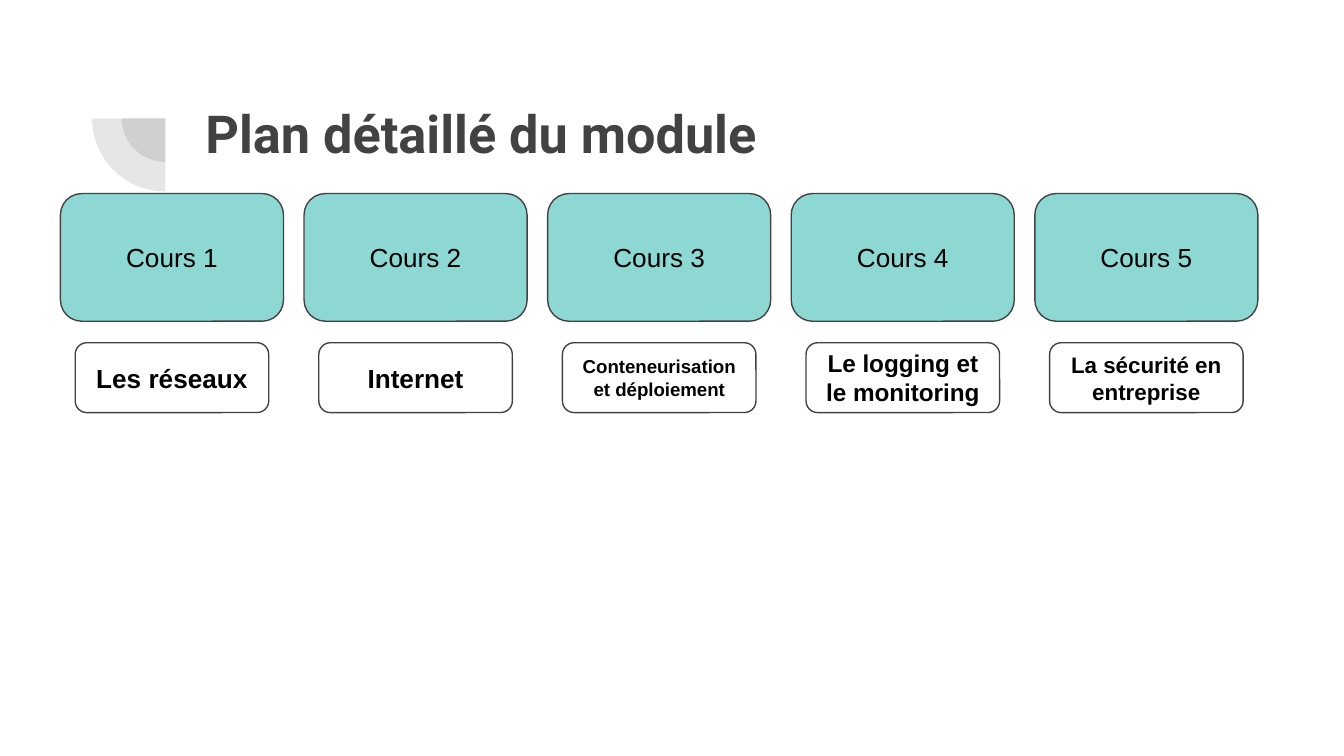
"""Build the slide that lays out the five courses of the module."""
import pptx
import pptx.dml.color
import pptx.enum.shapes
import pptx.enum.text
import pptx.util
from lxml import etree
from pptx.oxml.ns import qn

TITLE = "Plan détaillé du module"
COURSES = [
    ("Cours 1", "Les réseaux", 14),
    ("Cours 2", "Internet", 14),
    ("Cours 3", "Conteneurisation\net déploiement", 10),
    ("Cours 4", "Le logging et le monitoring", 13),
    ("Cours 5", "La sécurité en\nentreprise", 12),
]
COLORS = {"dark": "424242", "teal": "8DD8D3", "white": "FFFFFF", "black": "000000"}

SLIDE_W = 10
SLIDE_H = SLIDE_W * 9 / 16
FIRST_LEFT, LAST_LEFT = 0.45, 7.7
COLUMN_STEP = (LAST_LEFT - FIRST_LEFT) / (len(COURSES) - 1)
COURSE_TOP, COURSE_W, COURSE_H = 1.44, 1.66, 0.95
TOPIC_TOP, TOPIC_W, TOPIC_H = 2.55, 1.44, 0.52
ARC_X, ARC_Y, ARC_DIAMETERS = 1.23, 0.88, (0.65, 1.09)
MARGIN = 0.1

SHAPES = pptx.enum.shapes.MSO_SHAPE
ALIGN = pptx.enum.text.PP_ALIGN
ANCHOR = pptx.enum.text.MSO_ANCHOR


def rgb(name):
    return pptx.dml.color.RGBColor.from_string(COLORS[name])


def inches(*lengths):
    return [pptx.util.Inches(length) for length in lengths]


def write(shape, text, size, font, color, bold, align, anchor):
    frame = shape.text_frame
    frame.text = text
    frame.word_wrap = True
    frame.vertical_anchor = anchor
    frame.margin_left, frame.margin_top, frame.margin_right, frame.margin_bottom = inches(*[MARGIN] * 4)
    for paragraph in frame.paragraphs:
        paragraph.alignment = align
        for run in paragraph.runs:
            run.font.size = pptx.util.Pt(size)
            run.font.name = font
            run.font.bold = bold
            run.font.color.rgb = rgb(color)


def add_filled(slide, preset, box, fill):
    shape = slide.shapes.add_shape(preset, *inches(*box))
    shape.shadow.inherit = False
    shape.fill.solid()
    shape.fill.fore_color.rgb = rgb(fill)
    return shape


def add_arc(slide, diameter):
    box = (ARC_X - diameter / 2, ARC_Y - diameter / 2, diameter, diameter)
    arc = add_filled(slide, SHAPES.PIE, box, "dark")
    arc.adjustments[0], arc.adjustments[1] = 108, 162
    arc.rotation = 270
    arc.line.fill.background()
    tint = arc.element.spPr.find(qn("a:solidFill"))[0]
    etree.SubElement(tint, qn("a:alpha"), val="13000")


def add_card(slide, box, fill, text, size, bold):
    card = add_filled(slide, SHAPES.ROUNDED_RECTANGLE, box, fill)
    card.line.color.rgb = rgb("dark")
    card.line.width = pptx.util.Pt(0.75)
    write(card, text, size, "Arial", "black", bold, ALIGN.CENTER, ANCHOR.MIDDLE)


def main():
    deck = pptx.Presentation()
    deck.slide_width, deck.slide_height = inches(SLIDE_W, SLIDE_H)
    slide = deck.slides.add_slide(deck.slide_layouts[6])

    for diameter in ARC_DIAMETERS:
        add_arc(slide, diameter)

    heading = slide.shapes.add_textbox(*inches(1.43, 0.65, 7.69, 0.71))
    write(heading, TITLE, 28, "Roboto", "dark", True, ALIGN.LEFT, ANCHOR.TOP)

    for column, (course, topic, topic_size) in enumerate(COURSES):
        left = FIRST_LEFT + column * COLUMN_STEP
        topic_left = left + (COURSE_W - TOPIC_W) / 2
        add_card(slide, (left, COURSE_TOP, COURSE_W, COURSE_H), "teal", course, 14, False)
        add_card(slide, (topic_left, TOPIC_TOP, TOPIC_W, TOPIC_H), "white", topic, topic_size, True)

    deck.save("out.pptx")


if __name__ == "__main__":
    main()
